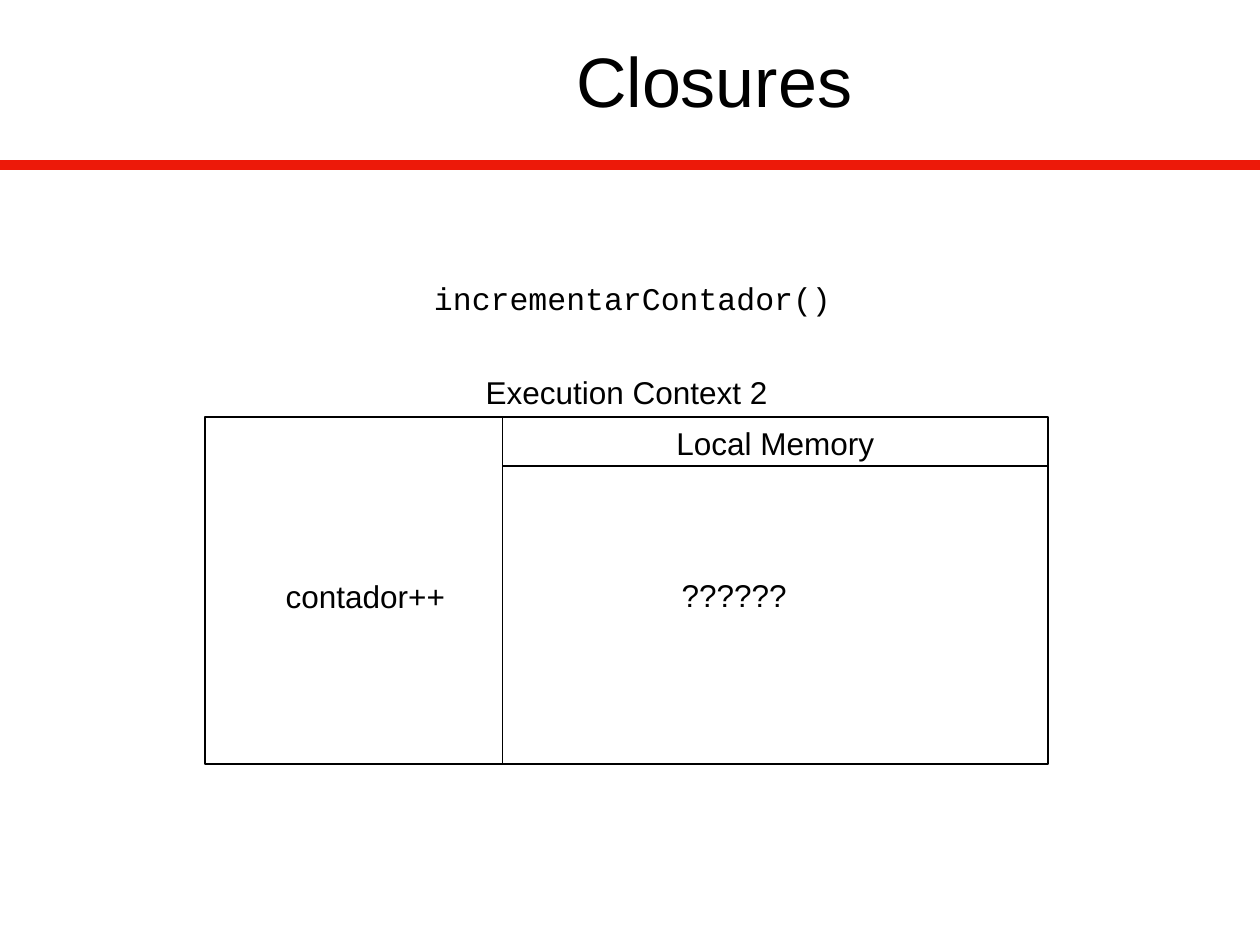
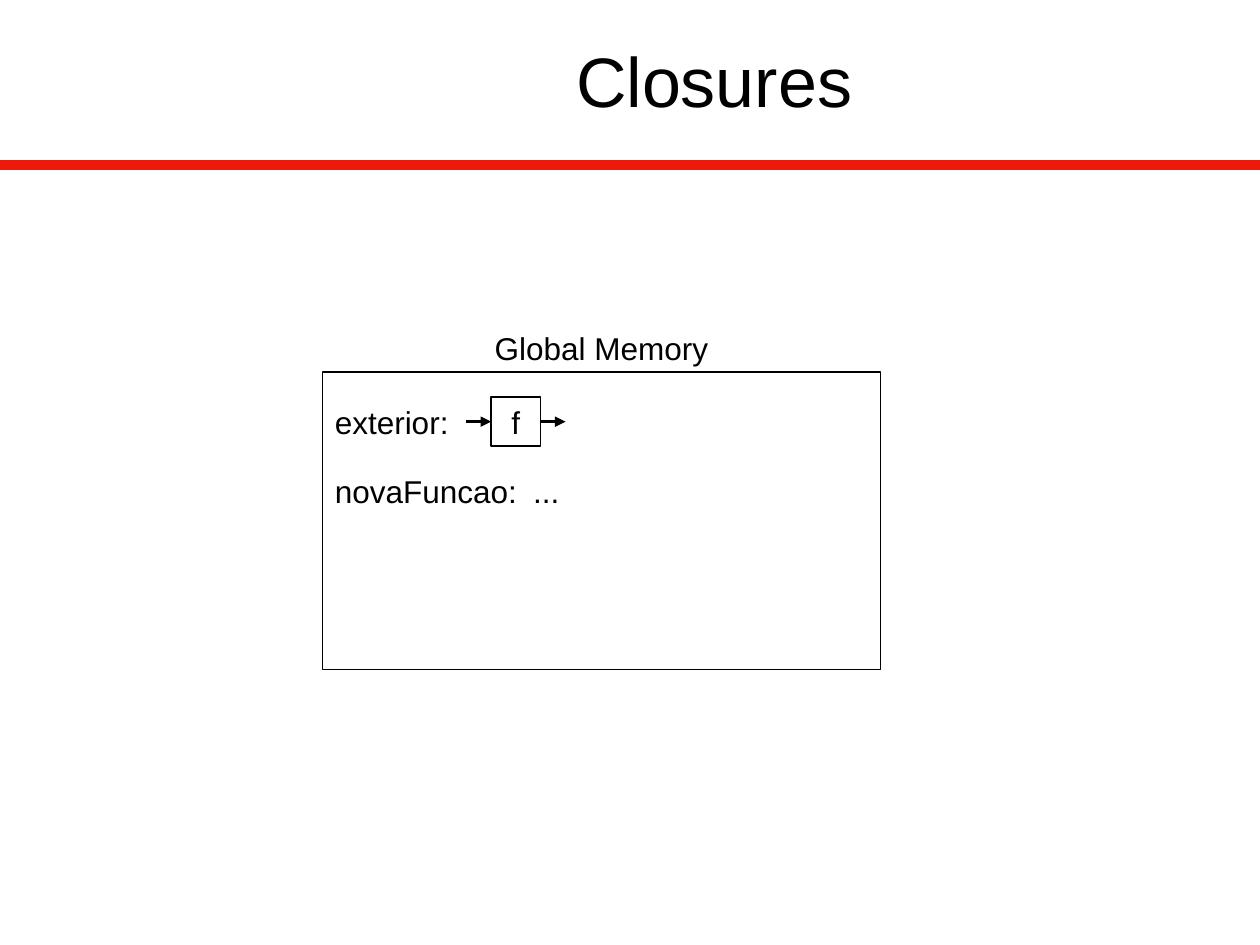
from lxml import etree
from pptx import Presentation
from pptx.dml.color import RGBColor
from pptx.enum.shapes import MSO_CONNECTOR, MSO_SHAPE
from pptx.enum.text import MSO_ANCHOR, PP_ALIGN
from pptx.oxml.ns import qn
from pptx.util import Cm, Pt

BLACK = RGBColor(0x00, 0x00, 0x00)
RED = RGBColor(0xED, 0x19, 0x09)
WIDTH, HEIGHT = 25.4, 19.05
LABEL_HEIGHT = 1.02
VALUE_TAB = 4.0

BODY = {"name": "Arial", "size": Pt(18)}
CODE = {"name": "Courier New", "size": Pt(18)}
HEADING = {"name": "Arial", "size": Pt(40)}

TITLE = "Closures"
TITLE_BOX = (3.89, -0.23, 21.01, 3.66)
RULE_TOP = 3.33

CALL = {
    "code": "incrementarContador()",
    "caption": "Execution Context 2",
    "frame": (4.13, 8.4, 17, 7),
    "thread_width": 6,
    "header_height": 1,
    "memory": "Local Memory",
    "notes": [("contador++", 5.51, 11.51), ("??????", 13.49, 11.48)],
}
GLOBAL = {
    "caption": "Global Memory",
    "frame": (6.5, 7.5, 11.25, 6),
    "entries": ["exterior:", "novaFuncao:\t..."],
    "first_entry": 8.0,
    "entry_step": 1.4,
    "function": "f",
    "function_left": 9.9,
    "function_side": 1,
    "arrow_length": 0.5,
}


def write(shape, text, style=BODY, align=PP_ALIGN.LEFT, anchor=MSO_ANCHOR.TOP, wrap=True):
    frame = shape.text_frame
    frame.word_wrap = wrap
    frame.vertical_anchor = anchor
    paragraph = frame.paragraphs[0]
    paragraph.alignment = align
    run = paragraph.add_run()
    run.text = text
    for attribute, value in style.items():
        setattr(run.font, attribute, value)
    run.font.color.rgb = BLACK
    if "\t" in text:
        tabs = etree.SubElement(paragraph._p.get_or_add_pPr(), qn("a:tabLst"))
        etree.SubElement(tabs, qn("a:tab"), pos=str(Cm(VALUE_TAB)), algn="l")


def add_label(shapes, text, left, top, width=6, height=LABEL_HEIGHT, **options):
    write(shapes.add_textbox(Cm(left), Cm(top), Cm(width), Cm(height)), text, **options)


def add_line(shapes, start, end, color=BLACK, width=1, arrow=False):
    points = [Cm(value) for value in (*start, *end)]
    line = shapes.add_connector(MSO_CONNECTOR.STRAIGHT, *points)
    line.line.color.rgb = color
    line.line.width = Pt(width)
    if arrow:
        etree.SubElement(line.line._get_or_add_ln(), qn("a:tailEnd"), type="triangle")
    etree.SubElement(line._element.spPr, qn("a:effectLst"))


def add_box(shapes, left, top, width, height):
    box = shapes.add_shape(MSO_SHAPE.RECTANGLE, Cm(left), Cm(top), Cm(width), Cm(height))
    box.shadow.inherit = False
    box.fill.background()
    box.line.color.rgb = BLACK
    box.line.width = Pt(1)
    return box


def add_captioned_frame(shapes, caption, frame):
    left, top, width, height = frame
    add_label(shapes, caption, left, top - 1, width, align=PP_ALIGN.CENTER)
    add_box(shapes, *frame)


def add_slide(presentation):
    slide = presentation.slides.add_slide(presentation.slide_layouts[6])
    add_line(slide.shapes, (0, RULE_TOP), (WIDTH, RULE_TOP), RED, 6)
    add_label(slide.shapes, TITLE, *TITLE_BOX, style=HEADING,
              align=PP_ALIGN.CENTER, anchor=MSO_ANCHOR.MIDDLE)
    return slide.shapes


def build_call(shapes):
    left, top, width, height = CALL["frame"]
    memory_left = left + CALL["thread_width"]
    header_bottom = top + CALL["header_height"]
    add_label(shapes, CALL["code"], 8, 5.51, 9.5, style=CODE, align=PP_ALIGN.CENTER)
    add_line(shapes, (memory_left, top), (memory_left, top + height))
    add_line(shapes, (memory_left, header_bottom), (left + width, header_bottom))
    add_label(shapes, CALL["memory"], memory_left, top + 0.03,
              width - CALL["thread_width"], align=PP_ALIGN.CENTER)
    add_captioned_frame(shapes, CALL["caption"], CALL["frame"])
    for text, note_left, note_top in CALL["notes"]:
        add_label(shapes, text, note_left, note_top)


def build_global(shapes):
    add_captioned_frame(shapes, GLOBAL["caption"], GLOBAL["frame"])
    top = GLOBAL["first_entry"]
    for index, entry in enumerate(GLOBAL["entries"]):
        add_label(shapes, entry, GLOBAL["frame"][0], top + index * GLOBAL["entry_step"])
    left, side, reach = (GLOBAL[key] for key in ("function_left", "function_side", "arrow_length"))
    group = shapes.add_group_shape().shapes
    write(add_box(group, left, top, side, side), GLOBAL["function"],
          align=PP_ALIGN.CENTER, anchor=MSO_ANCHOR.MIDDLE, wrap=False)
    middle = top + side / 2
    for start in (left - reach, left + side):
        add_line(group, (start, middle), (start + reach, middle), width=0, arrow=True)


def main():
    presentation = Presentation()
    presentation.slide_width, presentation.slide_height = Cm(WIDTH), Cm(HEIGHT)
    for build in (build_call, build_global):
        build(add_slide(presentation))
    presentation.save("out.pptx")


if __name__ == "__main__":
    main()
